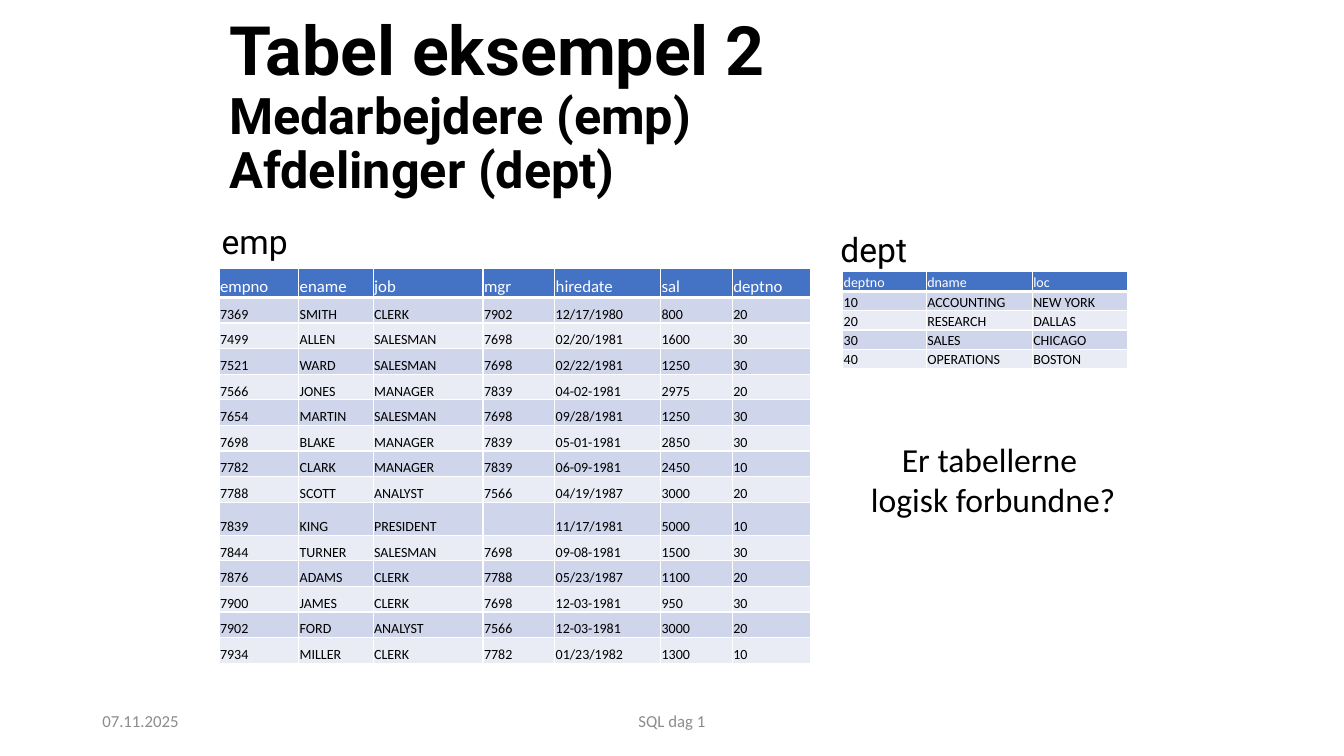
from copy import deepcopy
from lxml import etree
from pptx import Presentation
from pptx.dml.color import RGBColor
from pptx.enum import text as tx
from pptx.oxml import ns
from pptx.util import Pt

TITLE = [("Tabel eksempel 2\n", 48.6), ("Medarbejdere (emp)\nAfdelinger (dept)", 36)]

EMP = [
    ("empno", "ename", "job", "mgr", "hiredate", "sal", "deptno"),
    ("7369", "SMITH", "CLERK", "7902", "12/17/1980", "800", "20"),
    ("7499", "ALLEN", "SALESMAN", "7698", "02/20/1981", "1600", "30"),
    ("7521", "WARD", "SALESMAN", "7698", "02/22/1981", "1250", "30"),
    ("7566", "JONES", "MANAGER", "7839", "04-02-1981", "2975", "20"),
    ("7654", "MARTIN", "SALESMAN", "7698", "09/28/1981", "1250", "30"),
    ("7698", "BLAKE", "MANAGER", "7839", "05-01-1981", "2850", "30"),
    ("7782", "CLARK", "MANAGER", "7839", "06-09-1981", "2450", "10"),
    ("7788", "SCOTT", "ANALYST", "7566", "04/19/1987", "3000", "20"),
    ("7839", "KING", "PRESIDENT", "", "11/17/1981", "5000", "10"),
    ("7844", "TURNER", "SALESMAN", "7698", "09-08-1981", "1500", "30"),
    ("7876", "ADAMS", "CLERK", "7788", "05/23/1987", "1100", "20"),
    ("7900", "JAMES", "CLERK", "7698", "12-03-1981", "950", "30"),
    ("7902", "FORD", "ANALYST", "7566", "12-03-1981", "3000", "20"),
    ("7934", "MILLER", "CLERK", "7782", "01/23/1982", "1300", "10"),
]

DEPT = [
    ("deptno", "dname", "loc"),
    ("10", "ACCOUNTING", "NEW YORK"),
    ("20", "RESEARCH", "DALLAS"),
    ("30", "SALES", "CHICAGO"),
    ("40", "OPERATIONS", "BOSTON"),
]

TABLES = [
    (EMP, 156.5, 191.5, (56.9, 53.2, 78.5, 51.2, 75.7, 51.2, 56),
     [21] + [18.3] * 8 + [23.5] + [18.3] * 5, 12),
    (DEPT, 602, 193.8, (59.7, 75.7, 68.4), [14.4] + [13.8] * 4, 10),
]

GREY = "8C8C8C"
LEFT, MID = tx.PP_ALIGN.LEFT, tx.PP_ALIGN.CENTER
LABELS = [
    (["emp"], (151.2, 154.1, 79.2, 36.4), dict(size=24, face="Roboto")),
    (["dept"], (593.3, 159.8, 62.6, 36.4), dict(size=24, face="Roboto")),
    (["07.11.2025"], (66, 500.5, 216, 28.75), dict(color=GREY)),
    (["SQL dag 1"], (318, 500.5, 324, 28.75), dict(color=GREY, align=MID)),
    (["Er tabellerne ", "logisk forbundne?"], (599, 309.6, 221, 65.5),
     dict(size=24, align=MID)),
]


def rgb(code):
    return RGBColor.from_string(code)


def write(para, words, size=12, face="Calibri", color="000000", bold=False, align=LEFT):
    para.alignment = align
    lines = words.split("\n")
    for i, line in enumerate(lines):
        if not line:
            continue
        run = para.add_run()
        run.text = line
        font = run.font
        font.size, font.name, font.bold = Pt(size), face, bold
        font.color.rgb = rgb(color)
        if i < len(lines) - 1:
            para.add_line_break()
            para._p[-1].append(deepcopy(run._r.rPr))


def edge(cell, low):
    props = cell._tc.get_or_add_tcPr()
    for i, (side, width) in enumerate(zip("LRTB", (1, 1, 1, low))):
        line = etree.Element(ns.qn("a:ln" + side), w=str(Pt(width)))
        fill = etree.SubElement(line, ns.qn("a:solidFill"))
        etree.SubElement(fill, ns.qn("a:srgbClr"), val="FFFFFF")
        props.insert(i, line)


def grid(slide, rows, left, top, wide, high, head):
    frame = slide.shapes.add_table(len(rows), len(wide), Pt(left), Pt(top),
                                   Pt(sum(wide)), Pt(sum(high)))
    table = frame.table
    table.first_row = table.horz_banding = False
    for col, width in zip(table.columns, wide):
        col.width = Pt(width)
    for r, row in enumerate(rows):
        table.rows[r].height = Pt(high[r])
        back = ("E9EBF5", "CFD5EA")[r % 2] if r else "4472C4"
        for c, words in enumerate(row):
            cell = table.cell(r, c)
            cell.margin_left = cell.margin_right = cell.margin_top = Pt(0.7)
            cell.margin_bottom = 0
            cell.vertical_anchor = tx.MSO_ANCHOR.BOTTOM
            cell.fill.solid()
            cell.fill.fore_color.rgb = rgb(back)
            edge(cell, 1 if r else 3)
            write(cell.text_frame.paragraphs[0], words, size=10 if r else head,
                  color="000000" if r else "FFFFFF")


def main():
    deck = Presentation()
    deck.slide_width, deck.slide_height = Pt(960), Pt(540)
    slide = deck.slides.add_slide(deck.slide_layouts[5])

    title = slide.shapes.title
    title.left, title.top, title.width, title.height = map(Pt, (156.5, 32.4, 648, 90))
    body = title.text_frame
    body.word_wrap, body.auto_size = True, tx.MSO_AUTO_SIZE.NONE
    body.vertical_anchor = tx.MSO_ANCHOR.MIDDLE
    para = body.paragraphs[0]
    para.line_spacing = 0.9
    for words, size in TITLE:
        write(para, words, size=size, face="Roboto", bold=True)

    for spec in TABLES:
        grid(slide, *spec)

    for lines, place, look in LABELS:
        body = slide.shapes.add_textbox(*map(Pt, place)).text_frame
        body.word_wrap = True
        if look.get("color") == GREY:
            body.vertical_anchor = tx.MSO_ANCHOR.MIDDLE
        for i, line in enumerate(lines):
            write(body.add_paragraph() if i else body.paragraphs[0], line, **look)

    deck.save("out.pptx")


if __name__ == "__main__":
    main()
